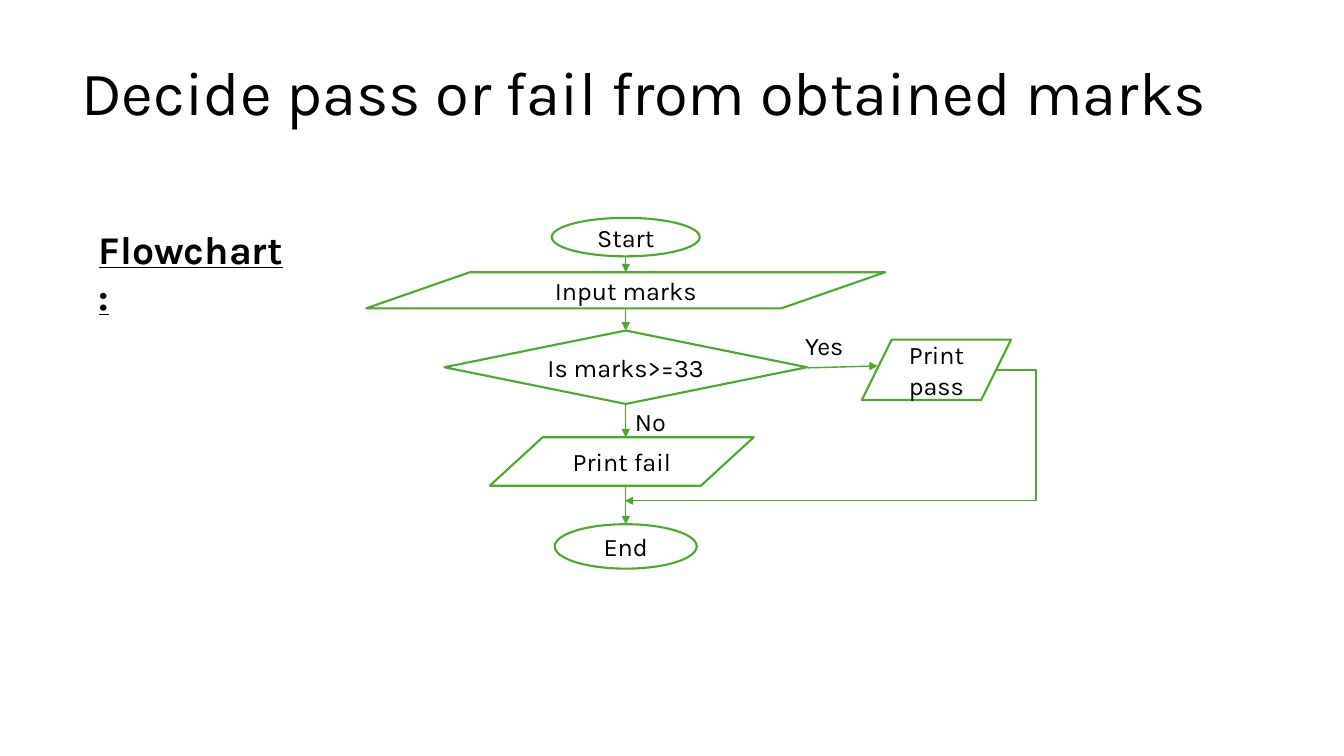
import pptx
import pptx.dml.color
import pptx.enum.shapes
import pptx.enum.text
import pptx.util
from lxml import etree
from pptx.util import Cm

SHAPES = pptx.enum.shapes.MSO_SHAPE
CONNECTORS = pptx.enum.shapes.MSO_CONNECTOR
ALIGN = pptx.enum.text.PP_ALIGN
ANCHOR = pptx.enum.text.MSO_ANCHOR
NAMESPACE = "http://schemas.openxmlformats.org/drawingml/2006/main"

GREEN, WHITE, BLACK = "4EA72E", "FFFFFF", "000000"
AXIS = 15.77  # horizontal centre of the main flow, in cm


def paint(color_format, hex_color):
    color_format.rgb = pptx.dml.color.RGBColor.from_string(hex_color)


def write_text(shape, text, size, frame_format, paragraph_format=None, **font_format):
    frame = shape.text_frame
    frame.text = text
    paragraph = frame.paragraphs[0]
    font = paragraph.runs[0].font
    font_values = {"name": "Karla", "size": pptx.util.Pt(size), **font_format}
    for target, values in ((frame, frame_format),
                           (paragraph, paragraph_format or {}),
                           (font, font_values)):
        for name, value in values.items():
            setattr(target, name, value)
    paint(font.color, BLACK)


def add_label(slide, text, box, size, wrap=False, anchor=ANCHOR.TOP,
              line_spacing=1.0, **font_format):
    label = slide.shapes.add_textbox(*map(Cm, box))
    write_text(label, text, size, {"word_wrap": wrap, "vertical_anchor": anchor},
               {"line_spacing": line_spacing}, **font_format)


def add_step(slide, kind, text, center, top, width, height):
    step = slide.shapes.add_shape(
        kind, Cm(center - width / 2), Cm(top), Cm(width), Cm(height))
    step.shadow.inherit = False
    step.fill.solid()
    paint(step.fill.fore_color, WHITE)
    paint(step.line.color, GREEN)
    step.line.width = pptx.util.Pt(1.5)
    write_text(step, text, 18, {"word_wrap": True, "vertical_anchor": ANCHOR.MIDDLE},
               {"alignment": ALIGN.CENTER})


def add_arrow(slide, start, end, kind=CONNECTORS.STRAIGHT, bend=None):
    """Draw an arrow; bend places an elbow's middle leg, in 1/100000 of its width."""
    arrow = slide.shapes.add_connector(kind, *map(Cm, (*start, *end)))
    paint(arrow.line.color, GREEN)
    arrow.line.width = pptx.util.Pt(1)
    properties = arrow._element.spPr
    line = properties.find(f"{{{NAMESPACE}}}ln")
    etree.SubElement(line, f"{{{NAMESPACE}}}tailEnd", type="triangle")
    etree.SubElement(properties, f"{{{NAMESPACE}}}effectLst")
    if bend is not None:
        adjustments = properties.find(f".//{{{NAMESPACE}}}avLst")
        etree.SubElement(adjustments, f"{{{NAMESPACE}}}gd",
                         name="adj1", fmla=f"val {bend}")


def main():
    presentation = pptx.Presentation()
    presentation.slide_width = Cm(33.87)
    presentation.slide_height = Cm(19.05)
    slide = presentation.slides.add_slide(presentation.slide_layouts[6])

    add_label(slide, "Decide pass or fail from obtained marks", (1.8, 0.56, 29.21, 3.68),
              44, wrap=True, anchor=ANCHOR.MIDDLE, line_spacing=0.9)
    add_label(slide, "Flowchart:", (2.24, 5.56, 5.36, 1.45), 28, wrap=True,
              bold=True, underline=True)

    for top, bottom in ((6.45, 6.86), (7.77, 8.33), (10.19, 11.02), (12.09, 13.21)):
        add_arrow(slide, (AXIS, top), (AXIS, bottom))
    add_arrow(slide, (20.35, 9.27), (22.12, 9.22))
    add_arrow(slide, (25.1, 9.32), (15.75, 12.62), CONNECTORS.ELBOW, bend=-10800)

    steps = (
        (SHAPES.OVAL, "Start", AXIS, 5.49, 3.73, 0.97),
        (SHAPES.FLOWCHART_DATA, "Input marks", AXIS, 6.86, 13.08, 0.91),
        (SHAPES.FLOWCHART_DECISION, "Is marks>=33", AXIS, 8.33, 9.14, 1.85),
        (SHAPES.FLOWCHART_DATA, "Print pass", 23.6, 8.56, 3.76, 1.52),
        (SHAPES.FLOWCHART_DATA, "Print fail", 15.67, 11.02, 6.65, 1.22),
        (SHAPES.OVAL, "End", AXIS, 13.21, 3.58, 1.12),
    )
    for step in steps:
        add_step(slide, *step)

    add_label(slide, "Yes", (20.04, 8.2, 1.47, 1.02), 18)
    add_label(slide, "No", (15.75, 10.11, 1.32, 1.02), 18)

    presentation.save("out.pptx")


if __name__ == "__main__":
    main()
